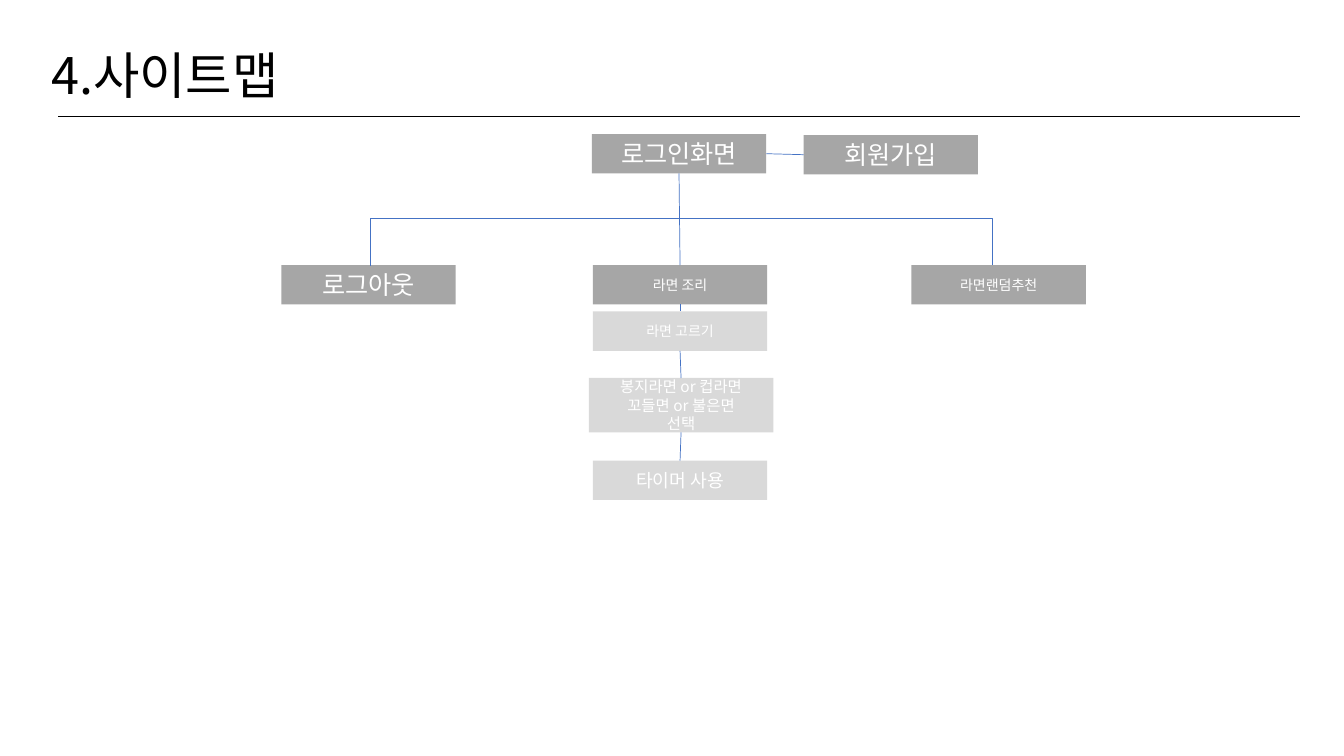
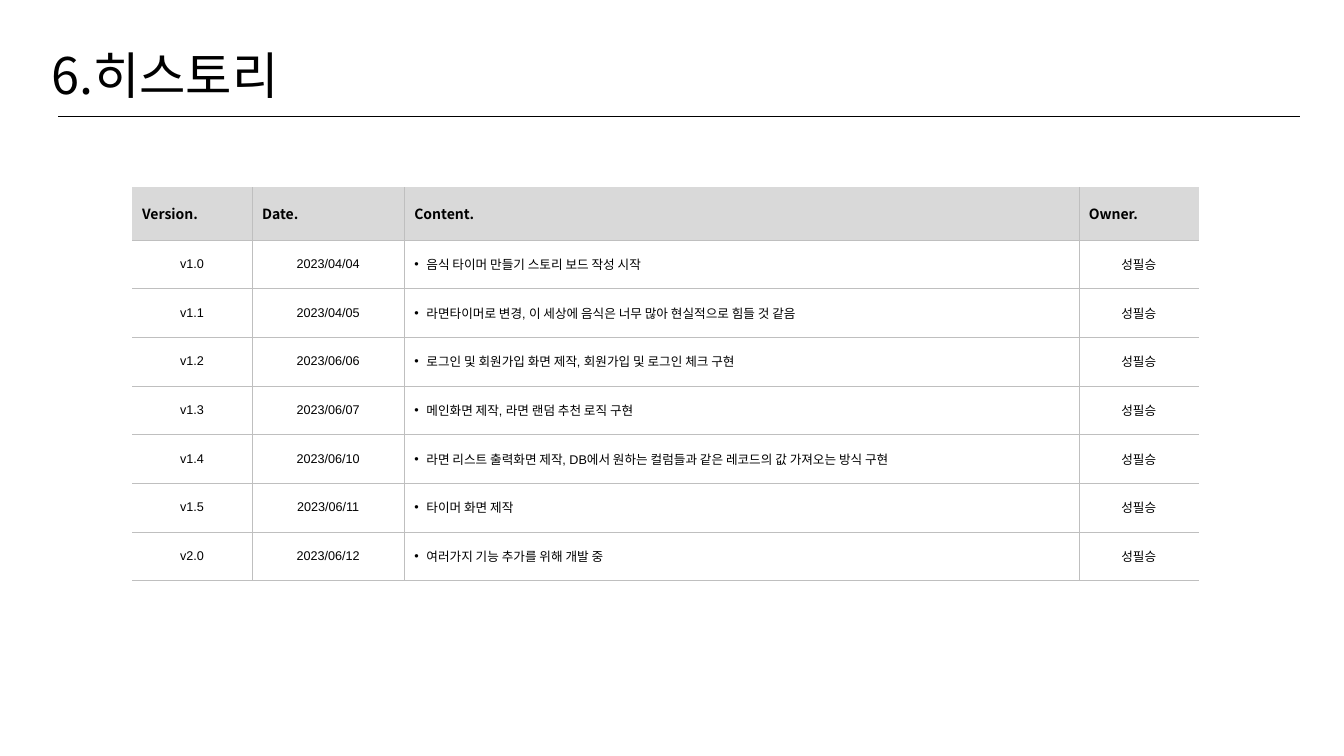
from typing import NamedTuple

from lxml.etree import SubElement
from pptx import Presentation
from pptx.dml.color import RGBColor
from pptx.enum.shapes import MSO_CONNECTOR, MSO_SHAPE
from pptx.enum.text import MSO_ANCHOR, MSO_AUTO_SIZE, PP_ALIGN
from pptx.oxml.ns import qn
from pptx.util import Inches, Pt

# Shared style
KOREAN, LATIN = "Noto Sans CJK KR", "Arial"
BLACK, WHITE, BLUE = "000000", "FFFFFF", "4472C4"
DARK, LIGHT, RULE = "A6A6A6", "D9D9D9", "BFBFBF"


class Node(NamedTuple):
    name: str
    x: float
    y: float
    fill: str
    size: int
    text: str  # blank line = new paragraph, single newline = line break
    w: float = 1.73
    h: float = 0.39


class Link(NamedTuple):
    start: str
    end: str
    start_side: int = 2
    end_side: int = 0


class Entry(NamedTuple):
    version: str
    date: str
    content: str
    owner: str = "성필승"


NODES = [
    Node("login", 5.87, 1.33, DARK, 18, "로그인화면"),
    Node("signup", 7.97, 1.34, DARK, 18, "회원가입"),
    Node("logout", 2.79, 2.63, DARK, 18, "로그아웃"),
    Node("cook", 5.88, 2.63, DARK, 10, "라면 조리"),
    Node("random", 9.04, 2.63, DARK, 10, "라면랜덤추천"),
    Node("pick", 5.88, 3.09, LIGHT, 10, "라면 고르기"),
    Node("options", 5.84, 3.75, LIGHT, 11,
         "봉지라면 or 컵라면\n꼬들면 or 불은면\n\n선택", 1.83, 0.54),
    Node("timer", 5.88, 4.57, LIGHT, 13, "타이머 사용"),
]
LINKS = [
    Link("login", "cook"),
    Link("cook", "pick"),
    Link("pick", "options"),
    Link("options", "timer"),
    Link("login", "signup", 3, 1),
]

HEADERS = ["Version.", "Date.", "Content.", "Owner."]
COL_WIDTHS = [1.19, 1.51, 6.69, 1.19]
ENTRIES = [
    Entry("v1.0", "2023/04/04", "음식 타이머 만들기 스토리 보드 작성 시작"),
    Entry("v1.1", "2023/04/05", "라면타이머로 변경, 이 세상에 음식은 너무 많아 현실적으로 힘들 것 같음"),
    Entry("v1.2", "2023/06/06", "로그인 및 회원가입 화면 제작, 회원가입 및 로그인 체크 구현"),
    Entry("v1.3", "2023/06/07", "메인화면 제작, 라면 랜덤 추천 로직 구현"),
    Entry("v1.4", "2023/06/10",
          "라면 리스트 출력화면 제작, DB에서 원하는 컬럼들과 같은 레코드의 값 가져오는 방식 구현"),
    Entry("v1.5", "2023/06/11", "타이머 화면 제작"),
    Entry("v2.0", "2023/06/12", "여러가지 기능 추가를 위해 개발 중"),
]


def rgb(value: str) -> RGBColor:
    return RGBColor.from_string(value)


def add_run(p, text: str, size: float, color: str = BLACK,
            latin: str = KOREAN, bold: bool = False) -> None:
    r = p.add_run()
    r.text = text
    r.font.size = Pt(size)
    r.font.bold = bold
    r.font.color.rgb = rgb(color)
    r.font.name = latin
    SubElement(r.font._element, qn("a:ea"), typeface=KOREAN)


def add_line(s, x1: float, y1: float, x2: float, y2: float, color: str,
             kind=MSO_CONNECTOR.STRAIGHT):
    c = s.shapes.add_connector(kind, Inches(x1), Inches(y1), Inches(x2), Inches(y2))
    c.line.color.rgb = rgb(color)
    c.line.width = Pt(0.5)
    SubElement(c._element.spPr, qn("a:effectLst"))
    return c


def add_titled_slide(prs, title: str):
    s = prs.slides.add_slide(prs.slide_layouts[6])
    tf = s.shapes.add_textbox(Inches(0.41), Inches(0.39), Inches(2.74), Inches(0.7)).text_frame
    tf.word_wrap = False
    tf.auto_size = MSO_AUTO_SIZE.SHAPE_TO_FIT_TEXT
    add_run(tf.paragraphs[0], title, 36)
    add_line(s, 0.58, 1.15, 12.89, 1.15, BLACK)
    return s


def add_node(s, node: Node):
    sp = s.shapes.add_shape(MSO_SHAPE.RECTANGLE, Inches(node.x), Inches(node.y),
                            Inches(node.w), Inches(node.h))
    sp.shadow.inherit = False
    sp.fill.solid()
    sp.fill.fore_color.rgb = rgb(node.fill)
    sp.line.fill.background()
    tf = sp.text_frame
    tf.word_wrap = True
    tf.vertical_anchor = MSO_ANCHOR.MIDDLE
    for i, block in enumerate(node.text.split("\n\n")):
        p = tf.add_paragraph() if i else tf.paragraphs[0]
        p.alignment = PP_ALIGN.CENTER
        for j, text in enumerate(block.split("\n")):
            if j:
                p.add_line_break()
            add_run(p, text, node.size, WHITE)
    return sp


def add_branch(s, left: float, right: float, bar_y: float, foot_y: float) -> None:
    """Bracket whose two feet stand on foot_y: an elbow turned by 90 degrees."""
    depth = 0.01
    mid, half = (left + right) / 2, (right - left) / 2
    c = add_line(s, mid + depth / 2, foot_y + half, mid - depth / 2, foot_y - half,
                 BLUE, MSO_CONNECTOR.ELBOW)
    c._element.spPr.find(qn("a:xfrm")).set("rot", "5400000")
    guides = c._element.spPr.find(qn("a:prstGeom")).find(qn("a:avLst"))
    bend = round((foot_y - bar_y) / depth * 100000)
    SubElement(guides, qn("a:gd"), name="adj1", fmla=f"val {bend}")


def add_borders(cell, sides: dict[str, bool]) -> None:
    tc_pr = cell._tc.get_or_add_tcPr()
    for side, shown in sides.items():
        ln = SubElement(tc_pr, qn(f"a:ln{side}"), w=str(Pt(0.25)))
        if shown:
            SubElement(SubElement(ln, qn("a:solidFill")), qn("a:srgbClr"), val=RULE)
        else:
            SubElement(ln, qn("a:noFill"))


def add_bullet(p) -> None:
    p_pr = p._p.get_or_add_pPr()
    indent = Inches(0.12)
    p_pr.set("marL", str(indent))
    p_pr.set("indent", str(-indent))
    SubElement(p_pr, qn("a:buFont"), typeface=LATIN)
    SubElement(p_pr, qn("a:buChar"), char="•")


def add_history(s) -> None:
    rows = [HEADERS, *ENTRIES]
    height, head_h = 3.9, 0.52
    frame = s.shapes.add_table(len(rows), len(HEADERS), Inches(1.31), Inches(1.86),
                               Inches(sum(COL_WIDTHS)), Inches(height))
    table = frame.table
    table.first_row = table.horz_banding = False
    for col, width in zip(table.columns, COL_WIDTHS):
        col.width = Inches(width)
    for i, row in enumerate(rows):
        is_head = i == 0
        table.rows[i].height = Inches(head_h if is_head else (height - head_h) / len(ENTRIES))
        for j, text in enumerate(row):
            cell = table.cell(i, j)
            cell.vertical_anchor = MSO_ANCHOR.MIDDLE
            add_borders(cell, {"L": j > 0, "R": j < len(HEADERS) - 1, "T": not is_head, "B": True})
            p = cell.text_frame.paragraphs[0]
            if is_head:
                cell.fill.solid()
                cell.fill.fore_color.rgb = rgb(LIGHT)
                add_run(p, text, 10, bold=True)
                continue
            cell.fill.background()
            if HEADERS[j] == "Content.":
                add_bullet(p)
            else:
                p.alignment = PP_ALIGN.CENTER
            add_run(p, text, 9, latin=LATIN)


def main() -> None:
    prs = Presentation()
    prs.slide_width, prs.slide_height = Inches(13.33), Inches(7.5)

    # Site map
    s = add_titled_slide(prs, "4.사이트맵")
    boxes = {node.name: add_node(s, node) for node in NODES}
    for link in LINKS:
        c = add_line(s, 0, 0, 1, 1, BLUE)
        c.begin_connect(boxes[link.start], link.start_side)
        c.end_connect(boxes[link.end], link.end_side)
    add_branch(s, 3.67, 9.84, 2.15, 2.63)

    # History
    s = add_titled_slide(prs, "6.히스토리")
    add_history(s)

    prs.save("out.pptx")


if __name__ == "__main__":
    main()
